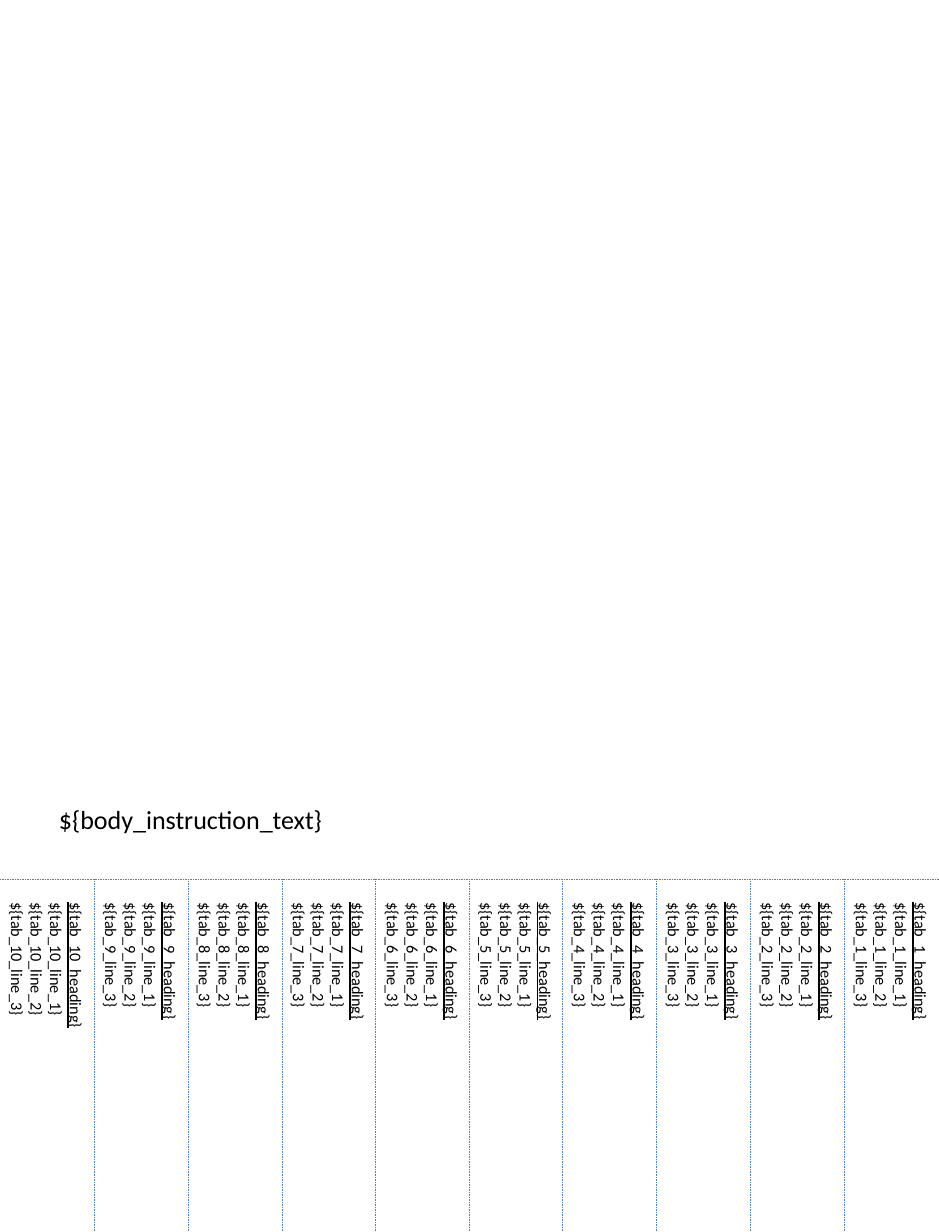
"""Build a flyer page with a body instruction and ten tear-off tabs."""
from dataclasses import dataclass

from lxml.etree import SubElement
from pptx import Presentation
from pptx.dml.color import RGBColor
from pptx.enum.dml import MSO_LINE
from pptx.enum.shapes import MSO_CONNECTOR
from pptx.enum.text import MSO_ANCHOR
from pptx.oxml.ns import qn
from pptx.util import Emu, Inches, Pt

PIXELS_PER_INCH = 117.4
PAGE_WIDTH, PAGE_HEIGHT = 939, 1233
TAB_TOP = 880
TAB_COUNT = 10
LINES_PER_TAB = 3


@dataclass(frozen=True)
class Theme:
    font: str = "Calibri"
    ink: RGBColor = RGBColor(0x00, 0x00, 0x00)
    cut: RGBColor = RGBColor(0x4B, 0x7E, 0xBC)
    body_size: int = 16
    tab_size: int = 10
    cut_width: float = 0.5


THEME = Theme()


def px(pixels):
    return Emu(round(pixels * Inches(1) / PIXELS_PER_INCH))


def tab_edge(column):
    return round(column * PAGE_WIDTH / TAB_COUNT)


def add_text(shapes, lines, left, top, width, height, *, size, insets=(12, 6, 12, 6),
             anchor=MSO_ANCHOR.TOP, wrap=True, vertical=False, underline_first=False):
    box = shapes.add_textbox(px(left), px(top), px(width), px(height))
    frame = box.text_frame
    frame.word_wrap = wrap
    frame.vertical_anchor = anchor
    frame.margin_left, frame.margin_top, frame.margin_right, frame.margin_bottom = map(px, insets)
    if vertical:
        frame._txBody.bodyPr.set("vert", "vert")
    for index, line in enumerate(lines):
        para = frame.add_paragraph() if index else frame.paragraphs[0]
        span = para.add_run()
        span.text = line
        span.font.name = THEME.font
        span.font.size = Pt(size)
        span.font.color.rgb = THEME.ink
        span.font.underline = underline_first and index == 0
    return box


def add_cut_line(shapes, start_x, start_y, end_x, end_y):
    line = shapes.add_connector(MSO_CONNECTOR.STRAIGHT,
                                px(start_x), px(start_y), px(end_x), px(end_y))
    line.line.color.rgb = THEME.cut
    line.line.width = Pt(THEME.cut_width)
    line.line.dash_style = MSO_LINE.ROUND_DOT
    SubElement(line._element.spPr, qn("a:effectLst"))


def add_tab(shapes, column):
    number = TAB_COUNT - column
    lines = [f"${{tab_{number}_heading}}"]
    lines += [f"${{tab_{number}_line_{row}}}" for row in range(1, LINES_PER_TAB + 1)]
    left = tab_edge(column)
    add_text(shapes, lines, left, TAB_TOP, tab_edge(column + 1) - left, PAGE_HEIGHT - TAB_TOP,
             size=THEME.tab_size, insets=(6, 23, 6, 0), anchor=MSO_ANCHOR.MIDDLE,
             wrap=False, vertical=True, underline_first=True)


def main():
    deck = Presentation()
    deck.slide_width, deck.slide_height = Inches(8), Inches(10.5)
    page = deck.slides.add_slide(deck.slide_layouts[6])

    tabs = page.shapes.add_group_shape().shapes
    for column in range(TAB_COUNT):
        add_tab(tabs, column)
    add_cut_line(tabs, 0, TAB_TOP, PAGE_WIDTH, TAB_TOP)
    for column in range(1, TAB_COUNT):
        add_cut_line(tabs, tab_edge(column), TAB_TOP, tab_edge(column), PAGE_HEIGHT)

    add_text(page.shapes, ["${body_instruction_text}"], 47, 798, 845, 62, size=THEME.body_size)
    deck.save("out.pptx")


if __name__ == "__main__":
    main()
